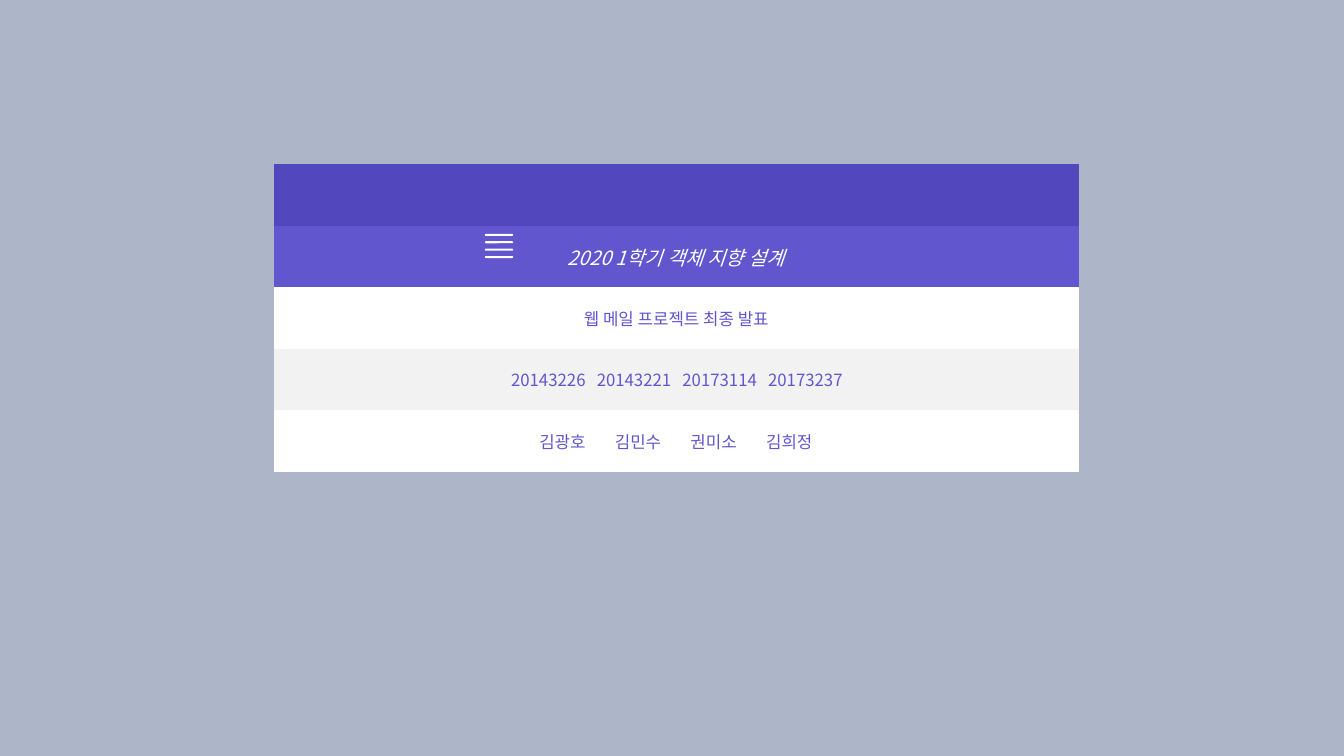
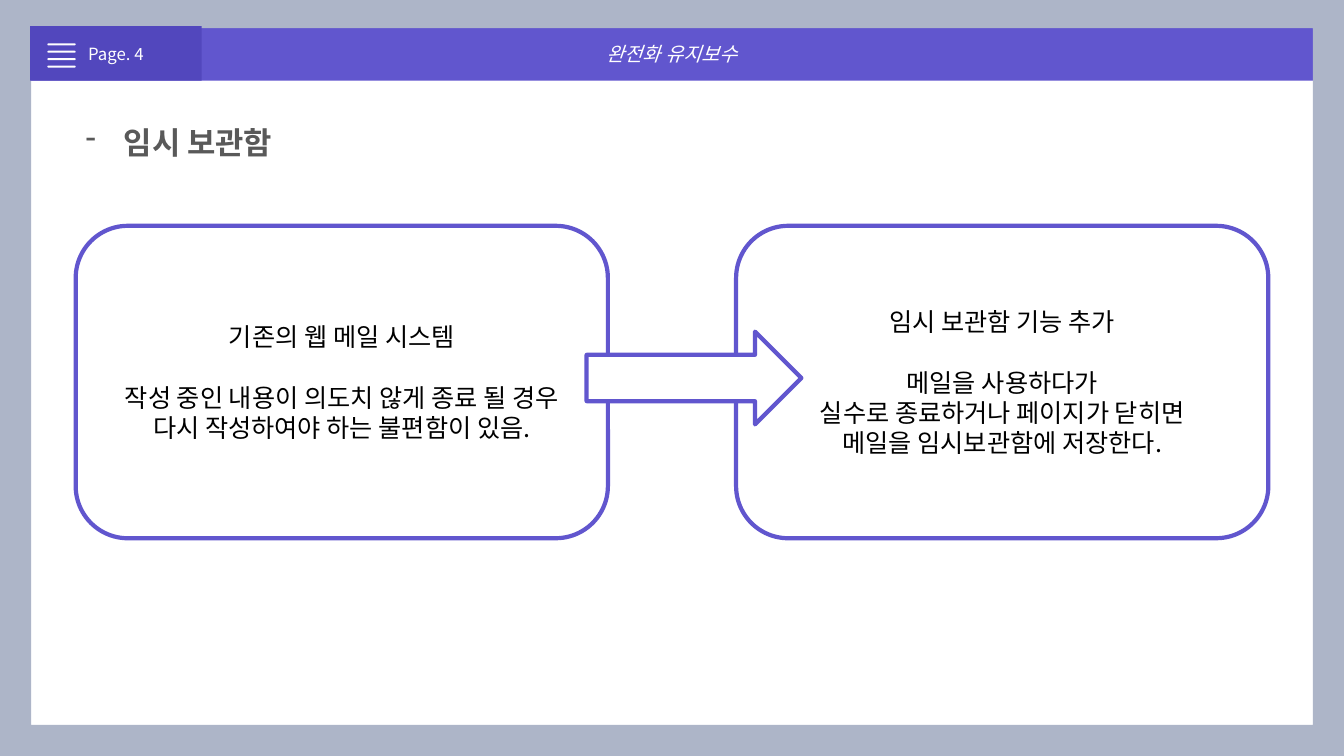
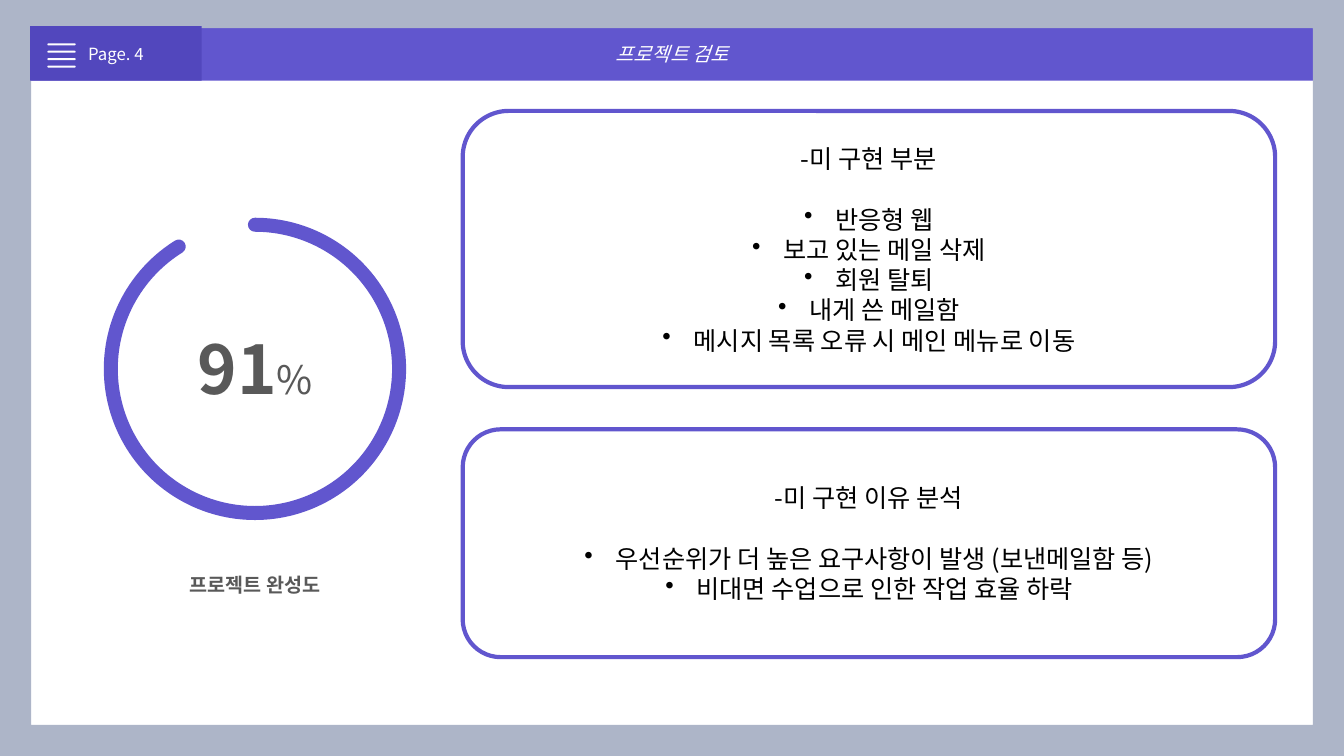
from lxml import etree
from pptx import Presentation
from pptx.dml.color import RGBColor
from pptx.enum.shapes import MSO_SHAPE
from pptx.enum.text import MSO_ANCHOR, PP_ALIGN
from pptx.oxml.ns import qn
from pptx.util import Emu, Inches, Pt

RECT, ROUND, FRAME = MSO_SHAPE.RECTANGLE, MSO_SHAPE.ROUNDED_RECTANGLE, MSO_SHAPE.FRAME
ARROW, ARC = MSO_SHAPE.RIGHT_ARROW, MSO_SHAPE.ARC
LEFT, CENTER = PP_ALIGN.LEFT, PP_ALIGN.CENTER
MIDDLE = MSO_ANCHOR.MIDDLE

FONT = "Noto Sans CJK KR"
PURPLE, DEEP_PURPLE, BLUE_GREY = "6156CE", "5247BD", "ADB5C8"
WHITE, PALE, GREY, BLACK = "FFFFFF", "F2F2F2", "595959", "000000"
NO_TABLE_STYLE = "{2D5ABB26-0587-4C30-8999-92F81FD0307C}"

SLIDE_W, SLIDE_H = Inches(13.333), Inches(7.5)
# Positions and sizes below are percentages of the slide's width and height
BAR_TOP, BAR_H, BAR_LEFT = 3.47, 7.2, 2.25
MARGIN = 5.63


def rgb(code):
    return RGBColor.from_string(code)


def box(x, y, w, h):
    return (Emu(round(SLIDE_W * x / 100)), Emu(round(SLIDE_H * y / 100)),
            Emu(round(SLIDE_W * w / 100)), Emu(round(SLIDE_H * h / 100)))


# Text
def style(paragraph, size, color, bold=False, italic=False, align=CENTER):
    paragraph.alignment = align
    font = paragraph.font
    font.name, font.size, font.bold, font.italic = FONT, Pt(size), bold, italic
    font.color.rgb = rgb(color)
    for run in paragraph.runs:
        etree.SubElement(run.font._element, qn("a:ea"), typeface=FONT)


def write(frame, text, size, color, **look):
    paragraph = frame.paragraphs[0]
    paragraph.text = text
    style(paragraph, size, color, **look)
    return paragraph


def add_bullet(paragraph, mark, indent):
    props = paragraph._p.get_or_add_pPr()
    props.set("marL", str(Inches(indent)))
    props.set("indent", str(-Inches(indent)))
    etree.SubElement(props, qn("a:buChar"), char=mark)


def add_center_tabs(paragraph, first, step, count):
    tabs = etree.SubElement(paragraph._p.get_or_add_pPr(), qn("a:tabLst"))
    for i in range(count):
        etree.SubElement(tabs, qn("a:tab"), pos=str(Inches(first + i * step)), algn="ctr")


def add_label(slide, place, text, size, **look):
    frame = slide.shapes.add_textbox(*box(*place)).text_frame
    frame.word_wrap = True
    return write(frame, text, size, GREY, **look)


# Shapes
def add_shape(shapes, kind, place, fill=None, line=None, width=3):
    shape = shapes.add_shape(kind, *box(*place))
    shape.shadow.inherit = False
    if fill:
        shape.fill.solid()
        shape.fill.fore_color.rgb = rgb(fill)
    else:
        shape.fill.background()
    if line:
        shape.line.color.rgb = rgb(line)
        shape.line.width = Pt(width)
    else:
        shape.line.fill.background()
    return shape


def add_menu_icon(shapes, x, y):
    for i in range(4):
        bar = add_shape(shapes, ROUND, (x, y + i * 0.98, 2.1, 0.27), WHITE)
        bar.adjustments[0] = 0.5


def add_card(slide, place, heading, lines, bulleted=False, fill=None):
    frame = add_shape(slide.shapes, ROUND, place, fill, PURPLE).text_frame
    frame.word_wrap = True
    frame.vertical_anchor = MIDDLE
    write(frame, heading, 18, BLACK).space_after = Pt(22)
    for line in lines:
        paragraph = frame.add_paragraph()
        paragraph.text = line
        style(paragraph, 18, BLACK)
        if bulleted:
            add_bullet(paragraph, "•", 0.31)


def add_progress_ring(slide, place, end_angle):
    ring = add_shape(slide.shapes, ARC, place, line=PURPLE, width=10)
    # Angles are stored in 60000ths of a degree, adjustments in 100000ths
    ring.adjustments[0] = 270 * 0.6
    ring.adjustments[1] = end_angle * 0.6
    ring.line._get_or_add_ln().set("cap", "rnd")


# Slides
def new_slide(prs, background):
    slide = prs.slides.add_slide(prs.slide_layouts[6])
    slide.background.fill.solid()
    slide.background.fill.fore_color.rgb = rgb(background)
    return slide


def new_content_slide(prs, title, page):
    slide = new_slide(prs, WHITE)
    bar = add_shape(slide.shapes, RECT,
                    (BAR_LEFT, BAR_TOP, 95.55, BAR_H), PURPLE)
    bar.text_frame.vertical_anchor = MIDDLE
    write(bar.text_frame, title, 14, WHITE, italic=True)
    border = add_shape(slide.shapes, FRAME, (0, -0.4, 100, 100.4), BLUE_GREY)
    border.adjustments[0] = 0.041
    page_group = slide.shapes.add_group_shape().shapes
    page_tab = add_shape(page_group, RECT,
                         (BAR_LEFT, BAR_TOP, 12.75, BAR_H), DEEP_PURPLE)
    page_tab.text_frame.vertical_anchor = MIDDLE
    write(page_tab.text_frame, page, 12, WHITE)
    add_menu_icon(page_group, 3.53, 5.73)
    return slide


def cover(prs):
    slide = new_slide(prs, BLUE_GREY)
    students = ["20143226", "20143221", "20173114", "20173237"]
    names = ["김광호", "김민수", "권미소", "김희정"]
    # Fill, text, size, colour, (first tab, tab step) of each row
    rows = [
        (DEEP_PURPLE, "", 14, WHITE, None),
        (PURPLE, "2020 1학기 객체 지향 설계", 14, WHITE, None),
        (WHITE, "웹 메일 프로젝트 최종 발표", 12, PURPLE, None),
        (PALE, students, 12, PURPLE, (2.62, 0.85)),
        (WHITE, names, 12, PURPLE, (2.76, 0.75)),
    ]
    holder = slide.shapes.add_table(len(rows), 1, *box(20.4, 21.73, 59.85, 40.67))
    table = holder.table
    table.first_row = table.horz_banding = False
    for style_id in holder._element.iter(qn("a:tableStyleId")):
        style_id.text = NO_TABLE_STYLE
    for i, (fill, content, size, color, tabs) in enumerate(rows):
        cell = table.cell(i, 0)
        cell.fill.solid()
        cell.fill.fore_color.rgb = rgb(fill)
        cell.vertical_anchor = MIDDLE
        if tabs:
            text = "".join("\t" + item for item in content)
            paragraph = write(cell.text_frame, text, size, color, align=LEFT)
            add_center_tabs(paragraph, *tabs, len(content))
        elif content:
            write(cell.text_frame, content, size, color, italic=color == WHITE)
    add_menu_icon(slide.shapes.add_group_shape().shapes, 36.08, 30.93)


def drafts_box(prs):
    slide = new_content_slide(prs, "완전화 유지보수", "Page. 4")
    heading = add_label(slide, (MARGIN, 13.2, 85.58, 7.73), "임시 보관함", 22,
                        bold=True, align=LEFT)
    heading.line_spacing = 1.5
    add_bullet(heading, "-", 0.38)
    top, width, height = 29.87, 39.6, 41.33
    add_card(slide, (MARGIN, top, width, height), "기존의 웹 메일 시스템",
             ["작성 중인 내용이 의도치 않게 종료 될 경우 다시 작성하여야 하는 불편함이 있음."])
    add_card(slide, (100 - MARGIN - width, top, width, height), "임시 보관함 기능 추가",
             ["메일을 사용하다가", "실수로 종료하거나 페이지가 닫히면",
              "메일을 임시보관함에 저장한다."])
    add_shape(slide.shapes, ARROW, (43.65, 43.87, 15.98, 12.27), WHITE, PURPLE)


def project_review(prs):
    slide = new_content_slide(prs, "프로젝트 검토", "Page. 4")
    # Completion dial
    dial_left, dial_w = 8.25, 21.45
    add_progress_ring(slide, (dial_left, 29.73, dial_w, 38.13), 238.06)
    score = add_label(slide, (12.98, 42.67, 12, 12.13), "91", 48, bold=True)
    percent = score.add_run()
    percent.text = "%"
    percent.font.size, percent.font.bold = Pt(28), False
    etree.SubElement(percent.font._element, qn("a:ea"), typeface=FONT)
    caption = add_label(slide, (dial_left, 73.6, dial_w, 5.47), "프로젝트 완성도", 14,
                        bold=True)
    caption.line_spacing = 1.5
    # Findings
    card_left, card_w = 34.43, 60.45
    add_card(slide, (card_left, 14.67, card_w, 36.53), "-미 구현 부분",
             ["반응형 웹", "보고 있는 메일 삭제", "회원 탈퇴", "내게 쓴 메일함",
              "메시지 목록 오류 시 메인 메뉴로 이동"], bulleted=True, fill=WHITE)
    add_card(slide, (card_left, 56.8, card_w, 30.13), "-미 구현 이유 분석",
             ["우선순위가 더 높은 요구사항이 발생 (보낸메일함 등)",
              "비대면 수업으로 인한 작업 효율 하락"], bulleted=True, fill=WHITE)


def main():
    prs = Presentation()
    prs.slide_width, prs.slide_height = SLIDE_W, SLIDE_H
    cover(prs)
    drafts_box(prs)
    project_review(prs)
    prs.save("out.pptx")


if __name__ == "__main__":
    main()
